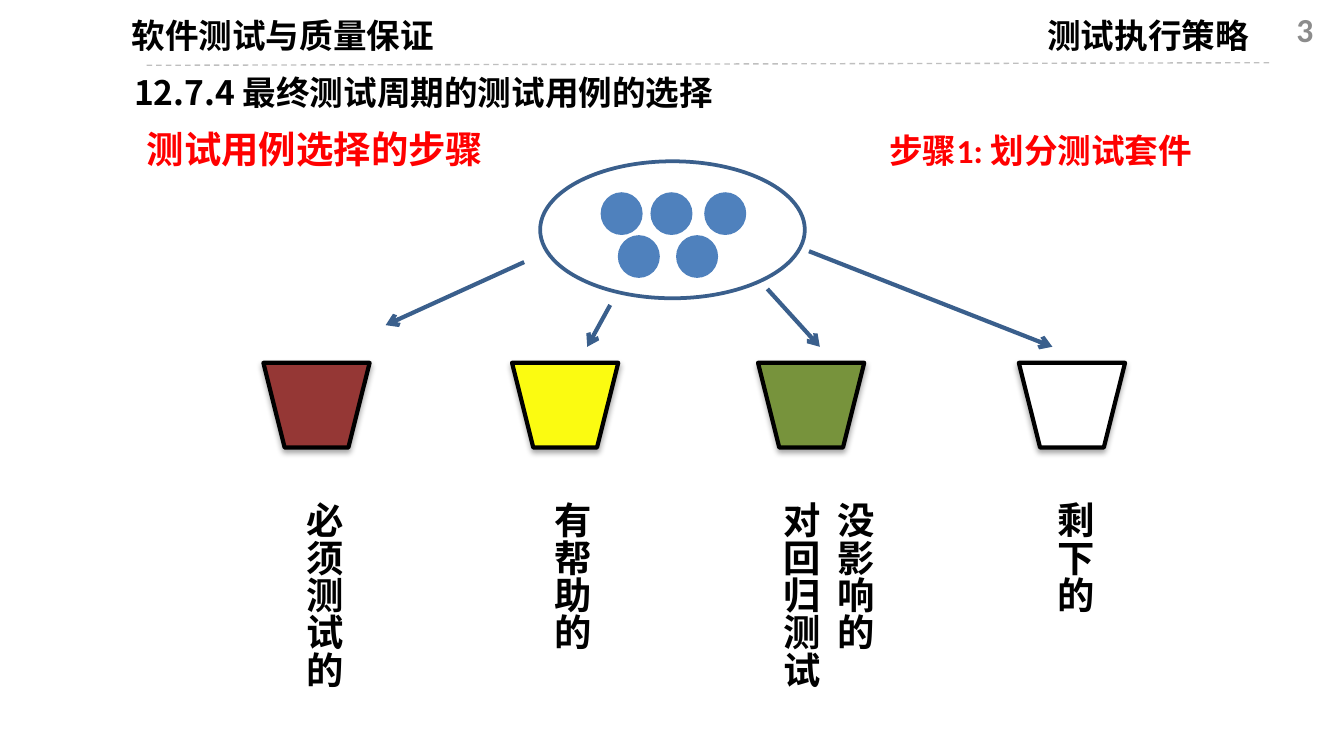
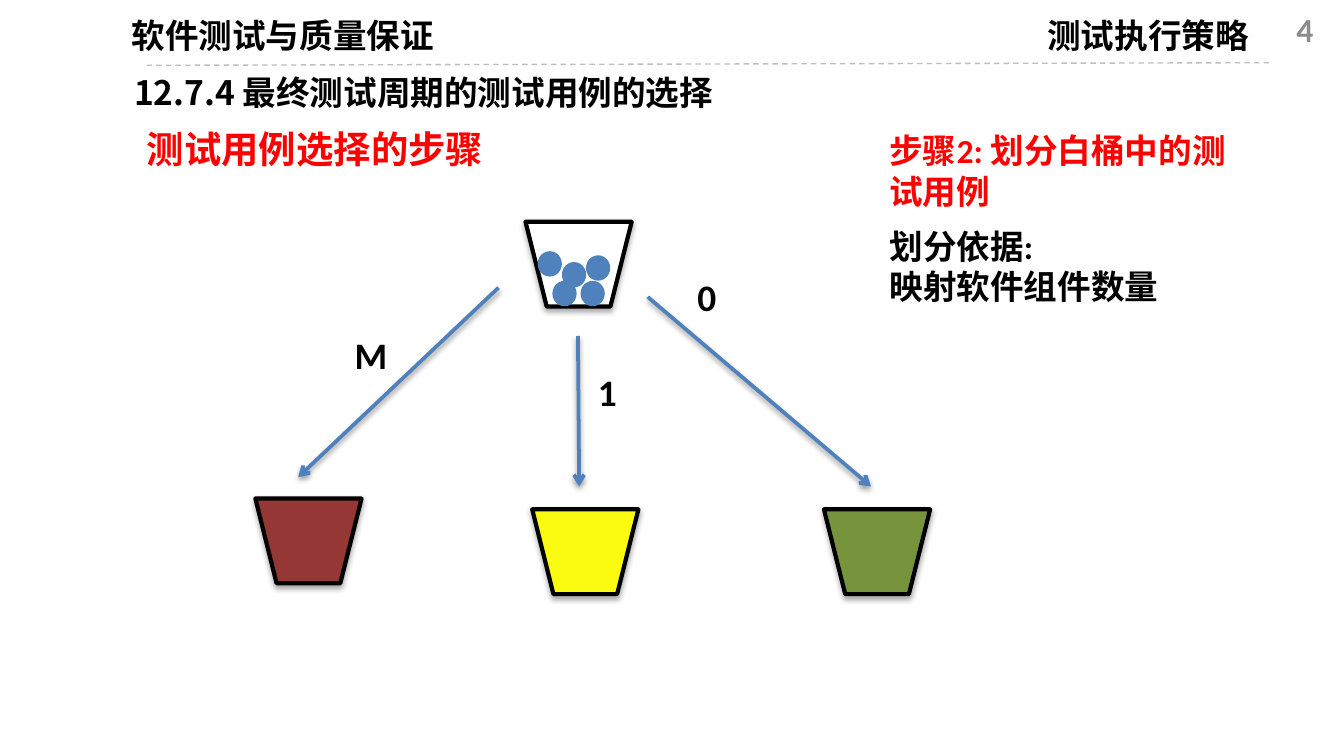
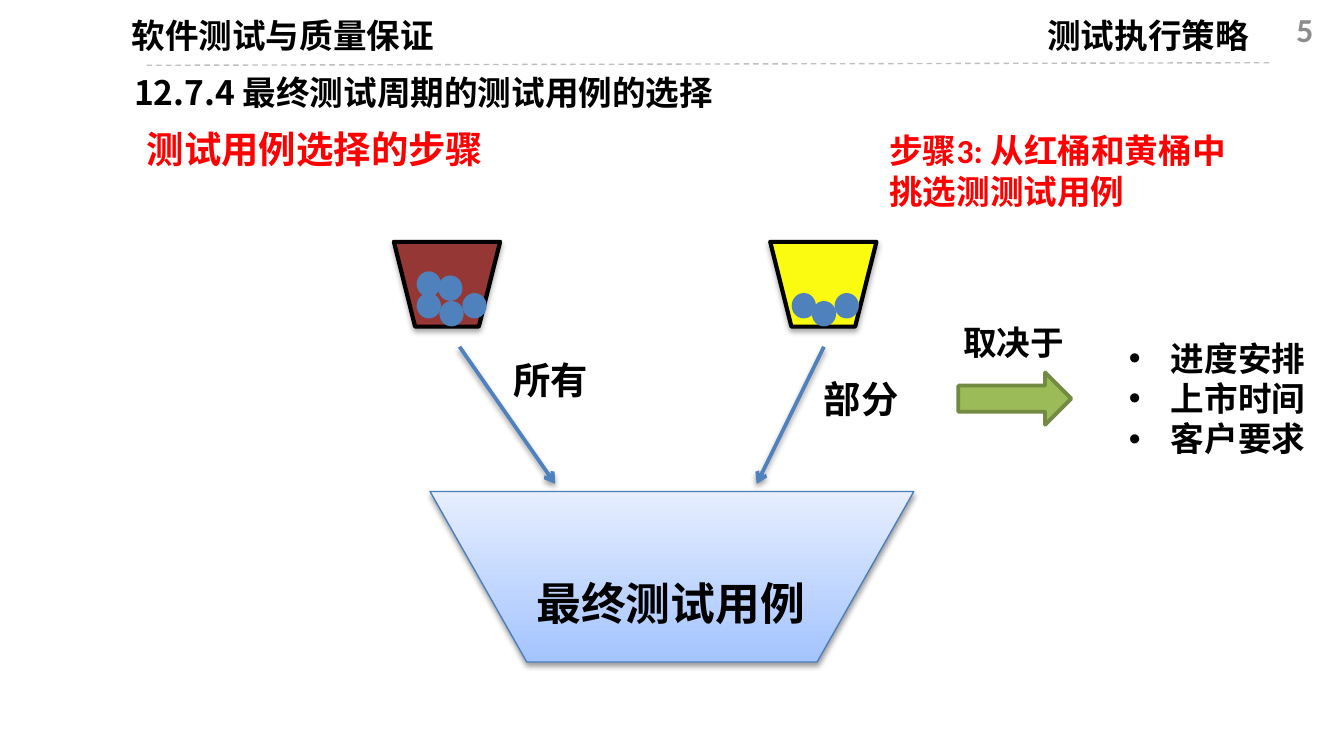
from lxml import etree
from pptx import Presentation
from pptx.dml.color import RGBColor
from pptx.enum.dml import MSO_LINE
from pptx.enum.shapes import MSO_CONNECTOR, MSO_SHAPE
from pptx.enum.text import MSO_ANCHOR, MSO_AUTO_SIZE, PP_ALIGN
from pptx.oxml.ns import qn
from pptx.util import Pt

BUCKET, BALL = MSO_SHAPE.FLOWCHART_MANUAL_OPERATION, MSO_SHAPE.OVAL
BLOCK_ARROW = MSO_SHAPE.RIGHT_ARROW
STRAIGHT, DASH = MSO_CONNECTOR.STRAIGHT, MSO_LINE.DASH
TOP, MIDDLE = MSO_ANCHOR.TOP, MSO_ANCHOR.MIDDLE
LEFT, CENTER, RIGHT = PP_ALIGN.LEFT, PP_ALIGN.CENTER, PP_ALIGN.RIGHT
GROW, FIXED = MSO_AUTO_SIZE.SHAPE_TO_FIT_TEXT, MSO_AUTO_SIZE.NONE

LATIN, CJK = "Calibri", "Noto Sans CJK SC"
BLACK, WHITE, ACCENT, GREY = "000000", "FFFFFF", "FF0000", "8C8C8C"
RED, YELLOW, GREEN = "953735", "FBFB11", "77933C"
BLUE, DARK_BLUE = "4F81BD", "3A5F8C"
BUCKET_SIZE = (56.9, 45.4)
STEP_LEFT, STEP_TOP = 469.4, 66.2


def write(shape, box, lines, size=18, color=BLACK, align=LEFT, font=LATIN, anchor=TOP, fit=GROW):
    shape.left, shape.top, shape.width, shape.height = [Pt(v) for v in box]
    frame = shape.text_frame
    frame.word_wrap = True
    frame.auto_size = fit
    frame.vertical_anchor = anchor
    for index, line in enumerate(lines):
        paragraph = frame.add_paragraph() if index else frame.paragraphs[0]
        paragraph.alignment = align
        paragraph.space_before = Pt(0)
        run = paragraph.add_run()
        run.text = line
        run.font.size = Pt(size)
        run.font.bold = True
        run.font.name = font
        run.font.color.rgb = RGBColor.from_string(color)
        etree.SubElement(run.font._element, qn("a:ea"), typeface=CJK)


def outline(shape, color, width, shadow_alpha=0, arrow=False):
    if color:
        shape.line.color.rgb = RGBColor.from_string(color)
        shape.line.width = Pt(width)
    else:
        shape.line.fill.background()
    if arrow:
        etree.SubElement(shape.line._get_or_add_ln(), qn("a:tailEnd"), type="arrow")
    effects = etree.SubElement(shape._element.spPr, qn("a:effectLst"))
    if shadow_alpha:
        shadow = etree.SubElement(effects, qn("a:outerShdw"), blurRad=str(Pt(3.1)),
                                  dist=str(Pt(1.7)), dir="5400000", rotWithShape="0")
        tone = etree.SubElement(shadow, qn("a:srgbClr"), val=BLACK)
        etree.SubElement(tone, qn("a:alpha"), val=str(shadow_alpha * 1000))


steps = [
    {
        "layout": 5,
        "step": "步骤1: 划分测试套件",
        "step_height": 29,
        "buckets": [(274.3, 194.4, YELLOW), (141.1, 194.4, RED),
                    (406.1, 194.4, GREEN), (545.8, 194.4, WHITE)],
        "ball_size": (22.5, 22.9),
        "balls": [(321.8, 103), (348.5, 103), (331, 126), (377.3, 103), (362.2, 126)],
        "arrow_style": (DARK_BLUE, 2.25, 0),
        "arrows": [(280.8, 140.4, 206.6, 174.2), (326.9, 163.4, 314.6, 185.8),
                   (411.1, 154.8, 439.2, 185.8), (433.4, 134.6, 563.8, 185.8)],
        "labels": [],
    },
    {
        "layout": 5,
        "step": "步骤2: 划分白桶中的测试用例",
        "step_height": 51,
        "buckets": [(285.1, 272.9, YELLOW), (136.8, 267.1, RED),
                    (441.4, 272.9, GREEN), (281.5, 118.8, WHITE)],
        "ball_size": (13, 13.6),
        "balls": [(288, 134.6), (301, 140.4), (313.9, 136.8), (311, 150.5), (295.9, 150.5)],
        "arrow_style": (BLUE, 2, 38),
        "arrows": [(267.1, 154.1, 159.8, 255.6), (309.6, 180, 310.3, 260.6),
                   (347, 159.1, 466.6, 260.6)],
        "labels": [("M", 182.9, 174.2), ("1", 313.2, 194.4), ("0", 366.5, 143.3)],
    },
    {
        "layout": 1,
        "step": "步骤3: 从红桶和黄桶中挑选测测试用例",
        "step_height": 51,
        "buckets": [(412.6, 129.6, YELLOW), (211, 129.6, RED)],
        "ball_size": (13, 13.6),
        "balls": [(235.4, 161.3), (223.2, 157), (247.7, 157), (223.2, 145.4), (234.7, 147.6),
                  (424.1, 157), (434.9, 161.3), (447.1, 157)],
        "arrow_style": (BLUE, 2, 38),
        "arrows": [(246.2, 185.8, 297.4, 259.2), (441.4, 185.8, 405.4, 259.2)],
        "labels": [("所有", 267.8, 187.9), ("部分", 434.2, 198)],
    },
]

deck = Presentation()
deck.slide_width, deck.slide_height = Pt(720), Pt(405)

for number, content in enumerate(steps, 3):
    slide = deck.slides.add_slide(deck.slide_layouts[content["layout"]])
    shapes = slide.shapes
    write(shapes.title, (64.6, 35, 521.3, 29), ["12.7.4 最终测试周期的测试用例的选择"], font=CJK)

    for text, box, style in [
        ("软件测试与质量保证", (44.6, 4.7, 213.8, 29), {"align": CENTER, "font": CJK}),
        ("测试执行策略", (554, 4.7, 272.2, 29), {}),
        ("测试用例选择的步骤", (71.5, 64, 216.7, 31.5), {"size": 20, "color": ACCENT}),
        (str(number), (542.9, 4.6, 167.8, 21.6),
         {"color": GREY, "align": RIGHT, "anchor": MIDDLE, "fit": FIXED}),
        (content["step"], (STEP_LEFT, STEP_TOP, 201.6, content["step_height"]), {"color": ACCENT}),
    ]:
        write(shapes.add_textbox(0, 0, 0, 0), box, [text], **style)

    header_rule = shapes.add_connector(STRAIGHT, Pt(78.5), Pt(35), Pt(682), Pt(33.6))
    header_rule.line.dash_style = DASH
    outline(header_rule, "BFBFBF", 0.75)

    for left, top, color in content["buckets"]:
        bucket = shapes.add_shape(BUCKET, Pt(left), Pt(top), *[Pt(v) for v in BUCKET_SIZE])
        bucket.fill.solid()
        bucket.fill.fore_color.rgb = RGBColor.from_string(color)
        outline(bucket, BLACK, 2.25, 35)

    for left, top in content["balls"]:
        test_case = shapes.add_shape(BALL, Pt(left), Pt(top), *[Pt(v) for v in content["ball_size"]])
        test_case.fill.solid()
        test_case.fill.fore_color.rgb = RGBColor.from_string(BLUE)
        outline(test_case, None, 0)

    for ends in content["arrows"]:
        route = shapes.add_connector(STRAIGHT, *[Pt(v) for v in ends])
        outline(route, *content["arrow_style"], arrow=True)

    for text, left, top in content["labels"]:
        write(shapes.add_textbox(0, 0, 0, 0), (left, top, 57, 31.5), [text], size=20)

split_slide, white_slide, final_slide = deck.slides

suite = split_slide.shapes.add_shape(BALL, Pt(289.4), Pt(86.4), Pt(141.8), Pt(73.4))
suite.fill.background()
outline(suite, DARK_BLUE, 2)

for text, left in [("必须测试的", 150.2), ("有帮助的", 283), ("对回归测试", 405.8),
                   ("没影响的", 434.5), ("剩下的", 552.5)]:
    category = split_slide.shapes.add_textbox(0, 0, 0, 0)
    write(category, (left, 261.8, 38.9, 114.5), [text], size=20)
    category.text_frame._txBody.bodyPr.set("vert", "eaVert")

write(white_slide.shapes.add_textbox(0, 0, 0, 0), (STEP_LEFT, 117.2, 176.4, 51),
      ["划分依据:", "映射软件组件数量"])

final_set = final_slide.shapes.add_shape(BUCKET, Pt(230.4), Pt(263.3), Pt(259.2), Pt(91.4))
final_set.fill.gradient()
final_set.fill.gradient_angle = 90
for stop, color in zip(final_set.fill.gradient_stops, ["A4C4FF", "E6EEFF"]):
    stop.color.rgb = RGBColor.from_string(color)
outline(final_set, "4B7EBC", 0.75, 38)
write(final_slide.shapes.add_textbox(0, 0, 0, 0), (280.3, 304.8, 184.3, 36), ["最终测试用例"], size=24)

factors = final_slide.placeholders[1]
write(factors, (597.6, 177.3, 162.7, 72.7), ["进度安排", "上市时间", "客户要求"])
for paragraph in factors.text_frame.paragraphs:
    properties = paragraph._p.get_or_add_pPr()
    properties.set("marL", str(Pt(22.5)))
    properties.set("indent", str(Pt(-22.5)))
    etree.SubElement(properties, qn("a:buFont"), typeface="Arial")
    etree.SubElement(properties, qn("a:buChar"), char="•")

depends = final_slide.shapes.add_shape(BLOCK_ARROW, Pt(513.4), Pt(199.6), Pt(60.5), Pt(28))
depends.fill.solid()
depends.fill.fore_color.rgb = RGBColor.from_string("9BBB59")
outline(depends, "738A42", 2)
write(final_slide.shapes.add_textbox(0, 0, 0, 0), (509, 169, 68.4, 29), ["取决于"])

deck.save("out.pptx")
